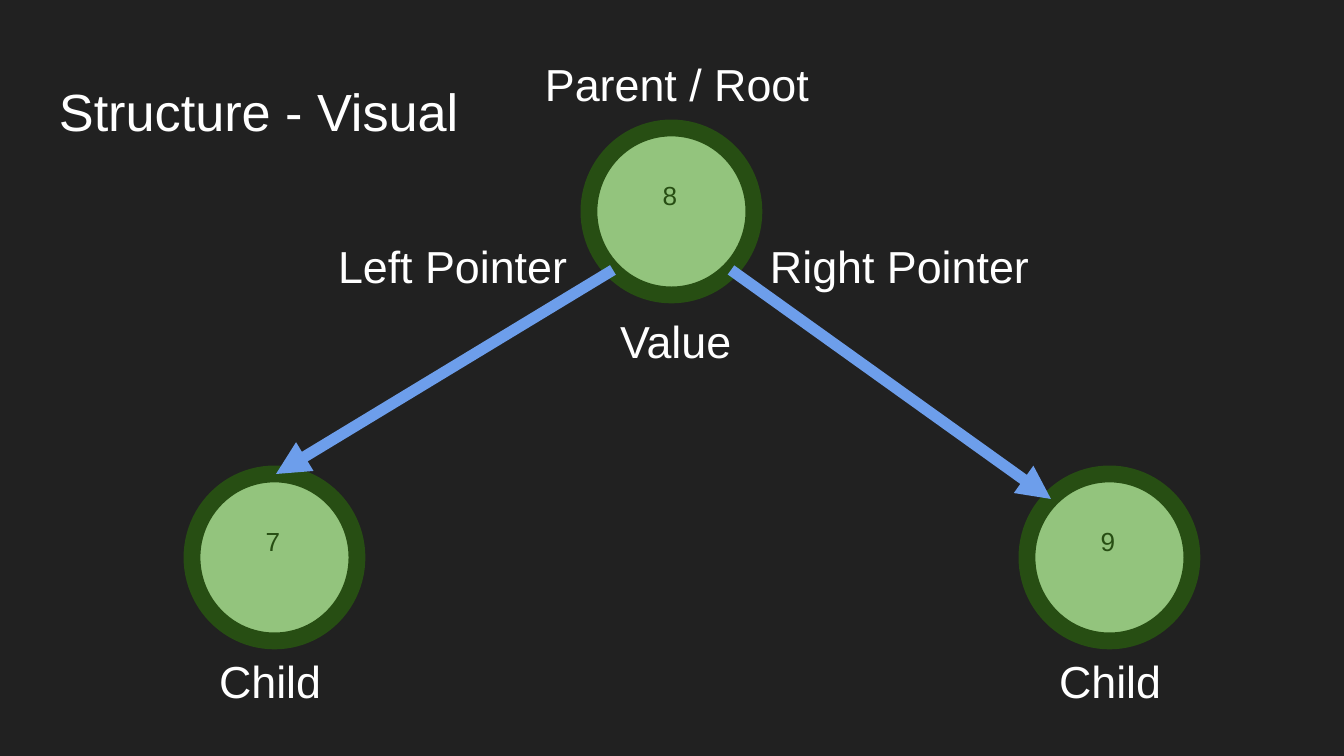
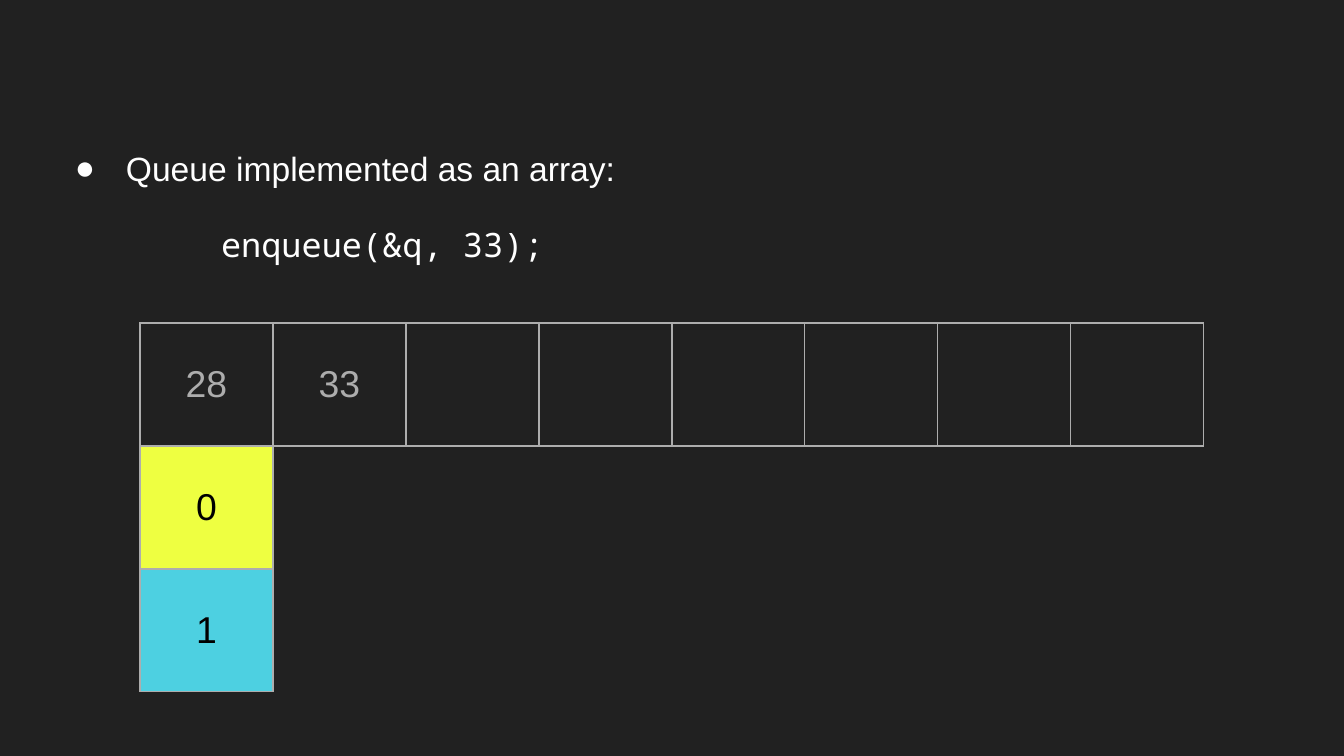
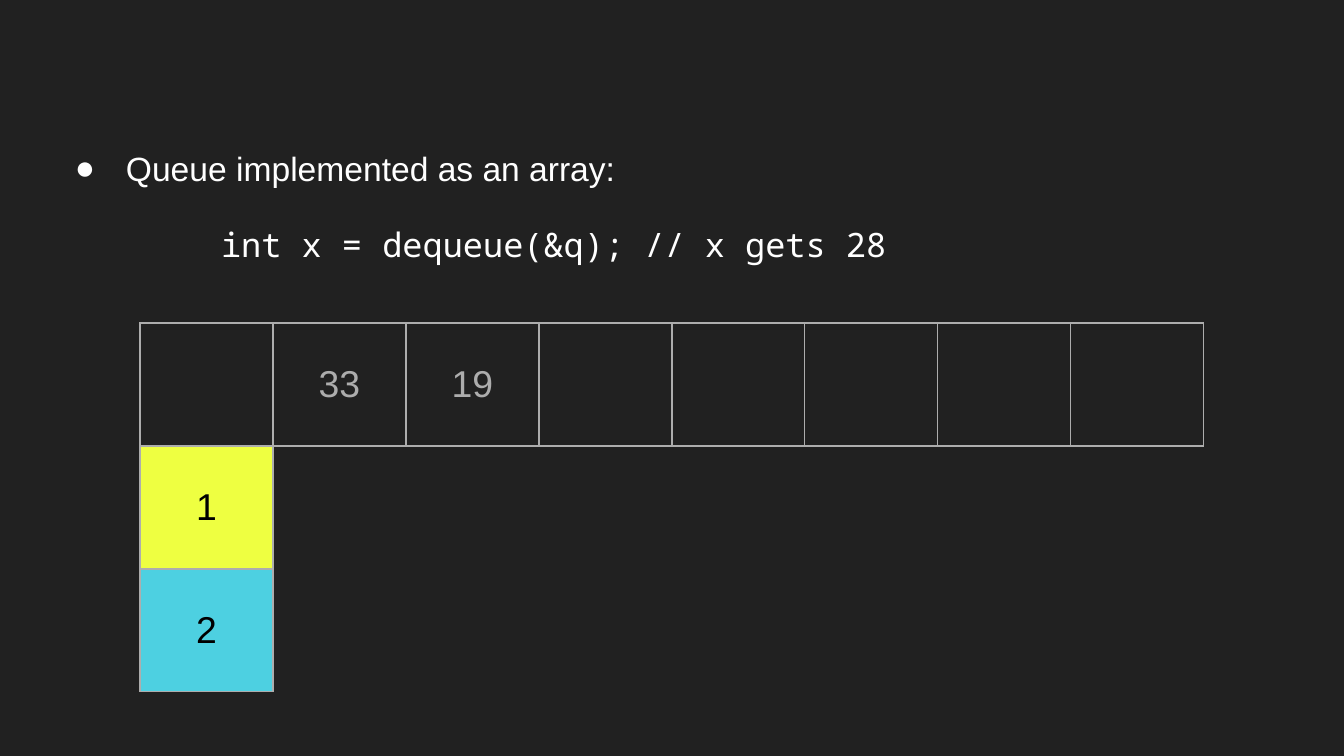
from lxml.etree import SubElement
from pptx import Presentation
from pptx.dml.color import RGBColor
from pptx.enum.shapes import MSO_CONNECTOR, MSO_SHAPE
from pptx.enum.text import MSO_ANCHOR, MSO_AUTO_SIZE, PP_ALIGN
from pptx.oxml.ns import qn
from pptx.util import Emu, Pt

COLORS = {
    "background": "212121",
    "text": "FFFFFF",
    "node": "93C47D",
    "node_edge": "274E13",
    "pointer": "6D9EEB",
    "grid": "ADADAD",
    "front": "EEFF41",
    "size": "4DD0E1",
    "counter": "000000",
}
SANS, MONO = "Arial", "Noto Sans Mono"
EMU_PER_PX = 914400 / 134.4
SLIDE_SIZE = (1344, 756)
INSET = 13

# Tree slide
TREE_TITLE = "Structure - Visual"
TITLE_BOX = (46, 66, 1252, 84)
NODES = [("8", 589, 128), ("7", 192, 474), ("9", 1027, 474)]
NODE_SIZE = (165, 167)
VALUE_OFFSET = (53, 44)
VALUE_SIZE = (56, 76)
POINTERS = [((613, 270), (276, 474)), ((731, 270), (1051, 499))]
LABELS = [
    ("Parent / Root", 532, 44, 312),
    ("Child", 1046, 641, 168),
    ("Child", 206, 641, 168),
    ("Value", 607, 301, 168),
    ("Right Pointer", 757, 226, 297),
    ("Left Pointer", 325, 226, 270),
]
LABEL_HEIGHT = 93

# Queue slides
QUEUE_HEADING = "Queue implemented as an array:"
QUEUE_STEPS = [
    {"code": "enqueue(&q, 33);",
     "array": ["28", "33", "", "", "", "", "", ""], "front": "0", "size": "1"},
    {"code": "int x = dequeue(&q); // x gets 28",
     "array": ["", "33", "19", "", "", "", "", ""], "front": "1", "size": "2"},
]
BODY_BOX = (46, 129, 1252, 474)
BULLET_INDENT, BULLET_HANGING, CODE_INDENT = 67, 51, 162
ARRAY_LEFT, ARRAY_TOP = 140, 323
CELL_WIDTH, CELL_HEIGHT = 133, 123


def px(length):
    return Emu(round(length * EMU_PER_PX))


def rgb(color):
    return RGBColor.from_string(COLORS[color])


def place(shape, box):
    shape.left, shape.top, shape.width, shape.height = map(px, box)


def format_frame(frame, inset=INSET):
    frame.word_wrap = True
    frame.auto_size = MSO_AUTO_SIZE.NONE
    frame.vertical_anchor = MSO_ANCHOR.TOP
    frame.margin_left = frame.margin_right = px(inset)
    frame.margin_top = frame.margin_bottom = px(inset)


def format_runs(paragraph, size, color, font=SANS, align=PP_ALIGN.LEFT):
    paragraph.alignment = align
    for run in paragraph.runs:
        run.font.name, run.font.size = font, Pt(size)
        run.font.color.rgb = rgb(color)


def add_label(shapes, text, box, size, color="text", align=PP_ALIGN.LEFT, inset=INSET):
    frame = shapes.add_textbox(*map(px, box)).text_frame
    format_frame(frame, inset)
    frame.text = text
    format_runs(frame.paragraphs[0], size, color, align=align)


def add_node(shapes, value, left, top):
    circle = shapes.add_shape(MSO_SHAPE.OVAL, *map(px, (left, top, *NODE_SIZE)))
    circle.shadow.inherit = False
    circle.fill.solid()
    circle.fill.fore_color.rgb = rgb("node")
    circle.line.color.rgb = rgb("node_edge")
    circle.line.width = Pt(9)
    value_box = (left + VALUE_OFFSET[0], top + VALUE_OFFSET[1], *VALUE_SIZE)
    add_label(shapes, value, value_box, 14, "node_edge", PP_ALIGN.CENTER, inset=7)


def add_pointer(shapes, start, end):
    pointer = shapes.add_connector(MSO_CONNECTOR.STRAIGHT, *map(px, (*start, *end)))
    pointer.line.color.rgb = rgb("pointer")
    pointer.line.width = Pt(6)
    properties = pointer._element.spPr
    SubElement(properties.find(qn("a:ln")), qn("a:tailEnd"), type="triangle")
    SubElement(properties, qn("a:effectLst"))


def add_tree_slide(prs):
    slide = prs.slides.add_slide(prs.slide_layouts[5])
    title = slide.shapes.title
    place(title, TITLE_BOX)
    format_frame(title.text_frame)
    title.text_frame.text = TREE_TITLE
    format_runs(title.text_frame.paragraphs[0], 28, "text")

    tree = slide.shapes.add_group_shape().shapes
    for node in NODES:
        add_node(tree, *node)
    for start, end in POINTERS:
        add_pointer(tree, start, end)
    for text, left, top, width in LABELS:
        add_label(slide.shapes, text, (left, top, width, LABEL_HEIGHT), 24)


def set_indent(paragraph, left, hanging=0, bullet=None):
    properties = paragraph._p.get_or_add_pPr()
    properties.set("marL", str(px(left)))
    properties.set("indent", str(-px(hanging)))
    if bullet:
        bullet_color = SubElement(properties, qn("a:buClr"))
        SubElement(bullet_color, qn("a:srgbClr"), val=COLORS["text"])
        SubElement(properties, qn("a:buFont"), typeface=SANS)
        SubElement(properties, qn("a:buChar"), char=bullet)
    else:
        SubElement(properties, qn("a:buNone"))


def fill_body(body, code):
    place(body, BODY_BOX)
    frame = body.text_frame
    format_frame(frame)
    frame.text = QUEUE_HEADING
    heading, call = frame.paragraphs[0], frame.add_paragraph()
    call.text = code
    for paragraph, font, gap in ((heading, SANS, 0), (call, MONO, 16)):
        format_runs(paragraph, 18, "text", font)
        paragraph.line_spacing = 1.15
        paragraph.space_before = Pt(gap)
    set_indent(heading, BULLET_INDENT, BULLET_HANGING, "●")
    set_indent(call, CODE_INDENT)


def set_borders(cell, sides):
    """Draw the grid line on the given sides (letters of LRTB), none on the others."""
    properties = cell._tc.get_or_add_tcPr()
    for side in "LRTB":
        line = SubElement(properties, qn(f"a:ln{side}"), w=str(Pt(0.75)))
        if side in sides:
            solid = SubElement(line, qn("a:solidFill"))
            SubElement(solid, qn("a:srgbClr"), val=COLORS["grid"])
        else:
            SubElement(line, qn("a:noFill"))


def format_cell(cell, text, sides, color, fill=None):
    set_borders(cell, sides)
    if fill:
        cell.fill.solid()
        cell.fill.fore_color.rgb = rgb(fill)
    else:
        cell.fill.background()
    cell.vertical_anchor = MSO_ANCHOR.MIDDLE
    cell.margin_left = cell.margin_right = px(INSET)
    cell.margin_top = cell.margin_bottom = px(INSET)
    cell.text = text
    format_runs(cell.text_frame.paragraphs[0], 20, color, align=PP_ALIGN.CENTER)


def add_queue_table(slide, step):
    columns = len(step["array"])
    box = (ARRAY_LEFT, ARRAY_TOP, columns * CELL_WIDTH, 3 * CELL_HEIGHT)
    table = slide.shapes.add_table(3, columns, *map(px, box)).table
    table.first_row = table.horz_banding = False
    for column in table.columns:
        column.width = px(CELL_WIDTH)
    for row in table.rows:
        row.height = px(CELL_HEIGHT)

    for c, value in enumerate(step["array"]):
        format_cell(table.cell(0, c), value, "LRTB", "grid")
    for r, counter in enumerate(("front", "size"), start=1):
        format_cell(table.cell(r, 0), step[counter], "LRTB", "counter", counter)
        for c in range(1, columns):
            sides = ("L" if c == 1 else "") + ("T" if r == 1 else "")
            format_cell(table.cell(r, c), "", sides, "grid")


def add_queue_slide(prs, step):
    slide = prs.slides.add_slide(prs.slide_layouts[1])
    title = slide.shapes.title._element
    title.getparent().remove(title)
    fill_body(slide.placeholders[1], step["code"])
    add_queue_table(slide, step)


def main():
    prs = Presentation()
    prs.slide_width, prs.slide_height = map(px, SLIDE_SIZE)
    background = prs.slide_master.background.fill
    background.solid()
    background.fore_color.rgb = rgb("background")
    add_tree_slide(prs)
    for step in QUEUE_STEPS:
        add_queue_slide(prs, step)
    prs.save("out.pptx")


if __name__ == "__main__":
    main()
